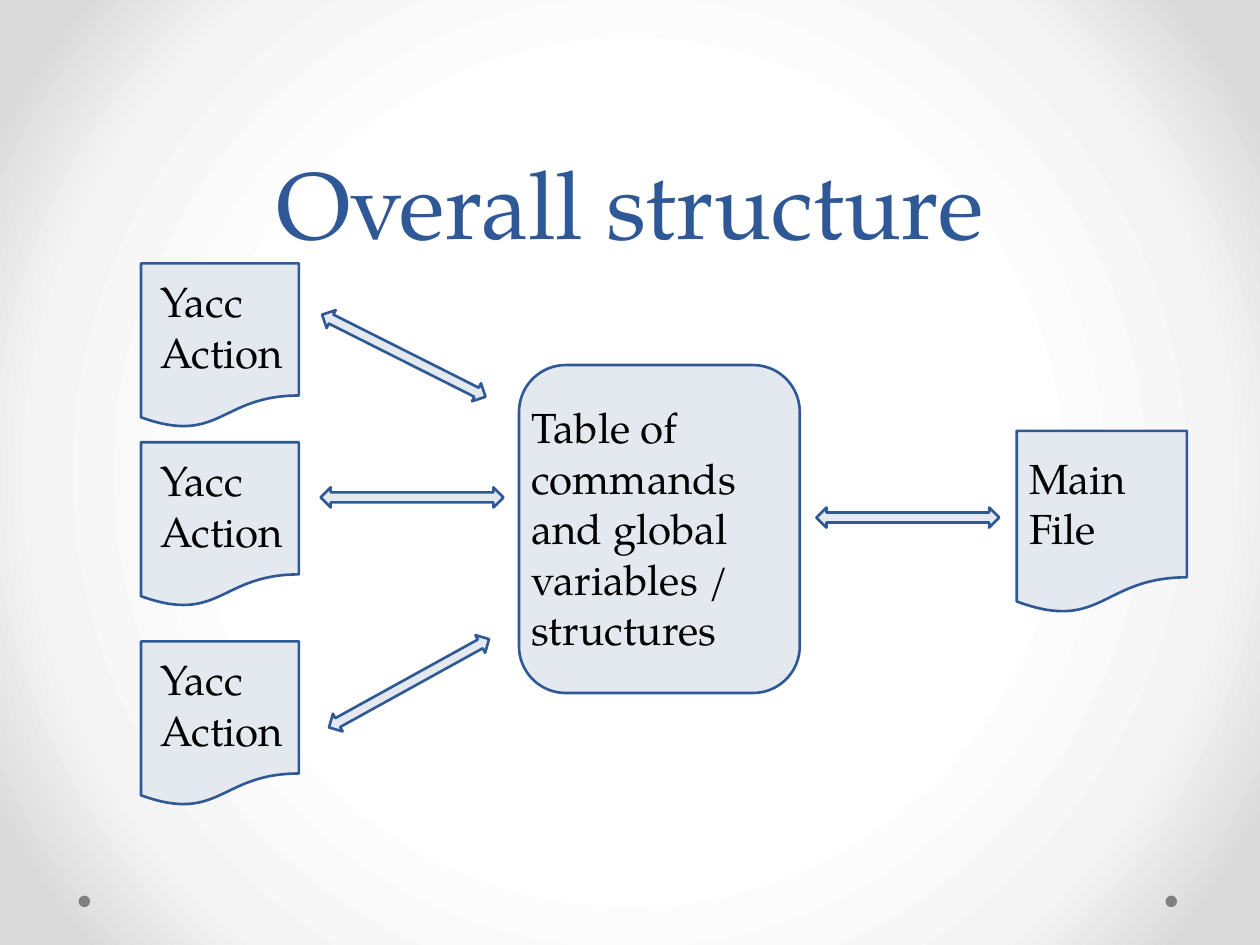
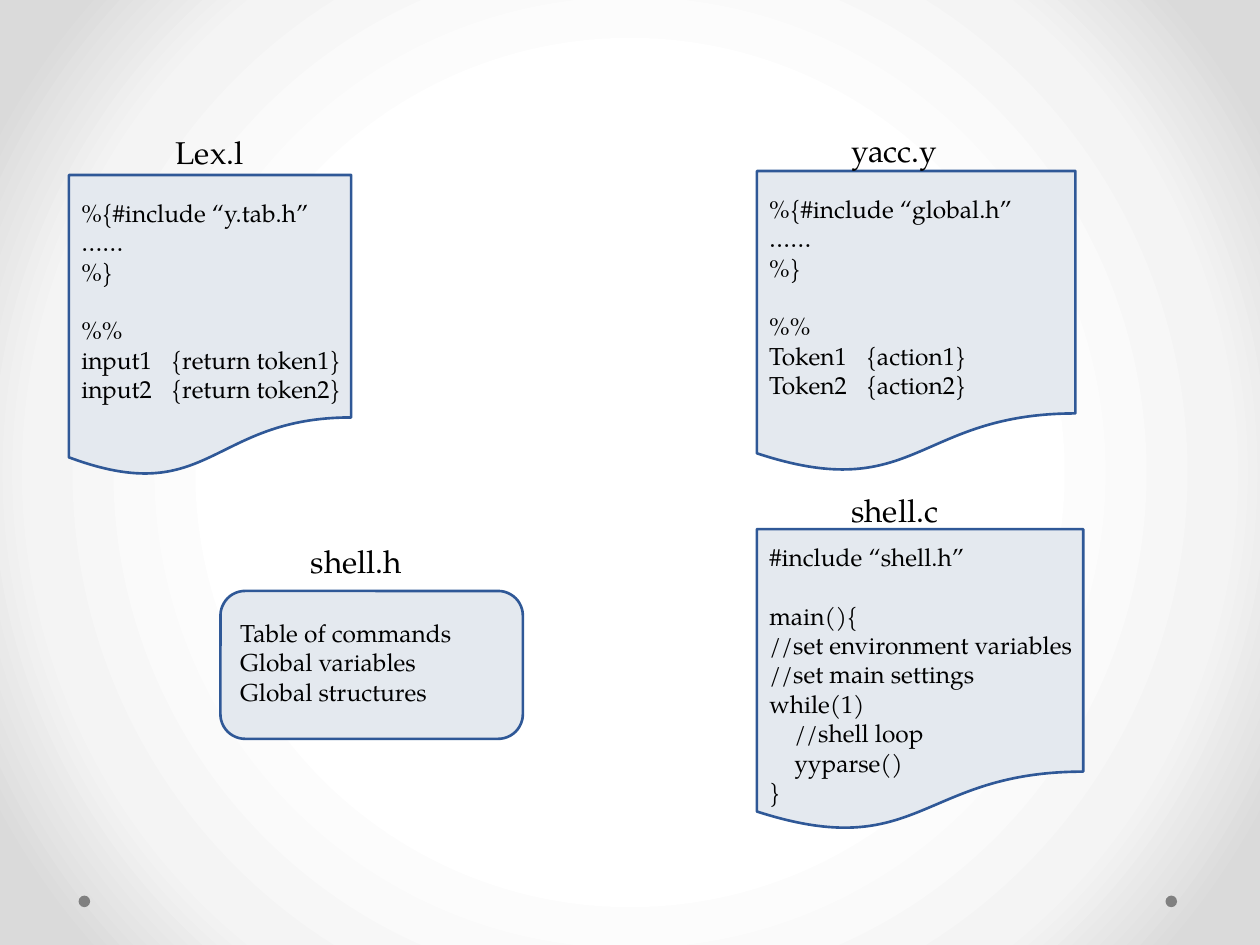
from dataclasses import dataclass

from lxml import etree
from pptx import Presentation
from pptx.dml.color import RGBColor
from pptx.enum.shapes import MSO_SHAPE
from pptx.enum.text import MSO_ANCHOR, PP_ALIGN
from pptx.oxml import parse_xml
from pptx.oxml.ns import qn
from pptx.util import Pt

DOCUMENT = MSO_SHAPE.FLOWCHART_DOCUMENT
ROUNDED = MSO_SHAPE.ROUNDED_RECTANGLE
DOUBLE_ARROW = MSO_SHAPE.LEFT_RIGHT_ARROW
DOT = MSO_SHAPE.OVAL
BOTTOM, TOP = MSO_ANCHOR.BOTTOM, MSO_ANCHOR.TOP
CENTER, LEFT = PP_ALIGN.CENTER, PP_ALIGN.LEFT
TITLE_ONLY, BLANK = 5, 6
DRAWING_NS = "http://schemas.openxmlformats.org/drawingml/2006/main"


@dataclass(frozen=True)
class Theme:
    font: str = "TeX Gyre Pagella"
    accent: str = "2F5897"
    panel: str = "E4E9EF"
    text: str = "000000"
    dot: str = "808080"
    backdrop: tuple = ((50, "FFFFFF"), (76, "F4F4F4"), (92, "DADADA"))
    title_size: float = 54
    title_leading: float = 58
    diagram_size: float = 24
    label_size: float = 18
    code_size: float = 14
    code_gap: float = 16.8
    code_indent: float = 14.3
    outline: float = 1.5
    inset: float = 7.2


class Deck:
    """Holds the theme and the slide being built."""

    def __init__(self, theme):
        self.theme = theme
        self.prs = Presentation()
        self.prs.slide_width, self.prs.slide_height = Pt(720), Pt(540)
        self.slide = None
        self.paint_backdrop()

    def paint_backdrop(self):
        stops = "".join(
            f'<a:gs pos="{pos * 1000}"><a:srgbClr val="{color}"/></a:gs>'
            for pos, color in self.theme.backdrop)
        gradient = parse_xml(
            f'<a:gradFill xmlns:a="{DRAWING_NS}" rotWithShape="1">'
            f'<a:gsLst>{stops}</a:gsLst><a:path path="circle">'
            '<a:fillToRect l="50000" t="50000" r="50000" b="50000"/>'
            '</a:path></a:gradFill>')
        master = self.prs.slide_master
        master.background.fill.solid()
        plain = next(master.element.iter(qn("p:bgPr"))).find(qn("a:solidFill"))
        plain.getparent().replace(plain, gradient)

    def add_slide(self, layout):
        first = self.slide is None
        self.slide = self.prs.slides.add_slide(self.prs.slide_layouts[layout])
        if first:
            self.add_master_dots()

    def add_master_dots(self):
        # Footer dots move to the master, so every slide shows them
        for left in (666, 44.9):
            dot = self.shape(DOT, left, 511.8, 6.6, 6.6, fill=self.theme.dot,
                             outlined=False)
            self.prs.slide_master.shapes.element.append(dot.element)

    def style(self, paragraph, size, color):
        font = paragraph.font
        font.name, font.size = self.theme.font, Pt(size)
        font.color.rgb = RGBColor.from_string(color)

    def title(self, text):
        title = self.slide.shapes.title
        title.left, title.top = Pt(36), Pt(15.8)
        title.width, title.height = Pt(648), Pt(135.4)
        title.text_frame.vertical_anchor = BOTTOM
        title.text_frame.text = text
        heading = title.text_frame.paragraphs[0]
        heading.alignment = CENTER
        heading.line_spacing = Pt(self.theme.title_leading)
        self.style(heading, self.theme.title_size, self.theme.accent)

    def shape(self, kind, left, top, width, height, rotation=0, fill=None,
              outlined=True):
        shape = self.slide.shapes.add_shape(
            kind, Pt(left), Pt(top), Pt(width), Pt(height))
        shape.shadow.inherit = False
        shape.rotation = rotation
        shape.fill.solid()
        shape.fill.fore_color.rgb = RGBColor.from_string(fill or self.theme.panel)
        if outlined:
            shape.line.color.rgb = RGBColor.from_string(self.theme.accent)
            shape.line.width = Pt(self.theme.outline)
        else:
            shape.line.fill.background()
        return shape

    def arrow(self, left, top, rotation=0):
        self.shape(DOUBLE_ARROW, left, top, 104.5, 11.5, rotation)

    def text(self, lines, left, top, width, height, size, tab=None):
        """A leading tab indents a line; an empty line becomes space above the next."""
        box = self.slide.shapes.add_textbox(
            Pt(left), Pt(top), Pt(width), Pt(height))
        frame = box.text_frame
        frame.word_wrap = True
        frame.vertical_anchor = TOP
        frame.margin_left = frame.margin_right = Pt(self.theme.inset)
        frame.margin_top = frame.margin_bottom = Pt(self.theme.inset)
        paragraph, gap = frame.paragraphs[0], False
        for number, line in enumerate(lines):
            if not line:
                gap = True
                continue
            if number:
                paragraph = frame.add_paragraph()
            paragraph.text = line.lstrip("\t")
            paragraph.alignment = LEFT
            properties = paragraph._p.get_or_add_pPr()
            if line.startswith("\t"):
                properties.set("marL", str(Pt(self.theme.code_indent)))
                properties.set("indent", "0")
            if gap:
                paragraph.space_before = Pt(self.theme.code_gap)
                gap = False
            if "\t" in paragraph.text:
                stops = etree.SubElement(properties, qn("a:tabLst"))
                etree.SubElement(stops, qn("a:tab"), pos=str(Pt(tab)), algn="l")
            self.style(paragraph, size, self.theme.text)

    def label(self, name, left, top, width):
        self.text([name], left, top, width, 31, self.theme.label_size)

    def code(self, lines, left, top, width, tab=None):
        self.text(lines, left, top, width, 120, self.theme.code_size, tab)


def build_structure(deck):
    deck.add_slide(TITLE_ONLY)
    deck.title("Overall structure")
    size = deck.theme.diagram_size

    # Yacc actions on the left
    for top in (150.5, 252.7, 366.5):
        deck.shape(DOCUMENT, 80.6, top, 90.2, 94.2)
        deck.text(["Yacc", "Action"], 84.5, top, 90, 38, size)

    # Shared table in the middle
    deck.shape(ROUNDED, 296.6, 208.6, 160.4, 187.4)
    deck.text(["Table of commands and global variables / structures"],
              296.6, 222.5, 175, 38, size)

    # Main file on the right
    deck.shape(DOCUMENT, 581, 246.2, 97.2, 104.4)
    deck.text(["Main File"], 581, 251.3, 90, 38, size)

    # Links between the parts
    for left, top, rotation in ((178.5, 197.5, 26.7), (183.2, 278.5, 0),
                                (181.5, 384.7, 331.1), (466.5, 290, 0)):
        deck.arrow(left, top, rotation)


def build_files(deck):
    deck.add_slide(BLANK)

    # Lexer
    deck.shape(DOCUMENT, 39.4, 100, 161.3, 172.8)
    deck.label("Lex.l", 93.4, 69.1, 58)
    deck.code(["%{#include “y.tab.h”", "……", "%}", "", "%%",
               "input1\t{return token1}", "input2\t{return token2}"],
              39.4, 105.8, 172.8, tab=51.4)

    # Parser
    deck.shape(DOCUMENT, 432.5, 97.7, 182, 172.8)
    deck.label("yacc.y", 479.4, 67.7, 70)
    deck.code(["%{#include “global.h”", "……", "%}", "", "%%",
               "Token1\t{action1}", "Token2\t{action2}"],
              432.5, 103.5, 172.8, tab=55.4)

    # Main program
    deck.shape(DOCUMENT, 432.5, 302.4, 186.5, 172.8)
    deck.label("shell.c", 479.4, 273.6, 80)
    deck.code(["#include “shell.h”", "", "main(){",
               "//set environment variables", "//set main settings",
               "while(1)", "\t//shell loop", "\tyyparse()", "}"],
              432.5, 302.4, 193.7)

    # Shared header
    deck.shape(ROUNDED, 126, 337.7, 172.8, 84.5)
    deck.label("shell.h", 170.6, 302.4, 83)
    deck.code(["Table of commands", "Global variables", "Global structures"],
              130.2, 345.8, 172.8)


def main():
    deck = Deck(Theme())
    build_structure(deck)
    build_files(deck)
    deck.prs.save("out.pptx")


if __name__ == "__main__":
    main()
